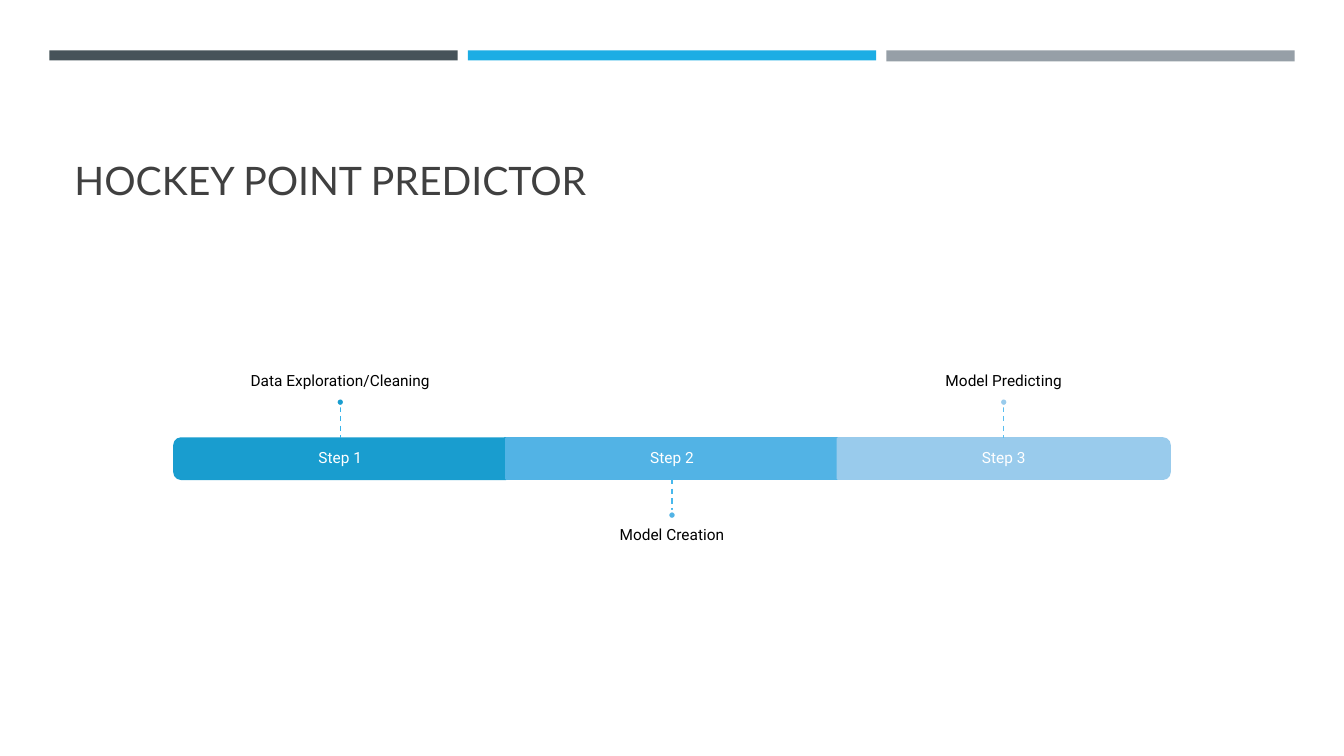
import pptx
import pptx.dml.color
import pptx.enum.dml
import pptx.enum.shapes
import pptx.enum.text
import pptx.oxml.ns
import pptx.util
from lxml import etree

TITLE = "HOCKEY POINT PREDICTOR"
BANDS = [("465359", 0.1), ("1CADE4", 0.1), ("969FA7", 0.11)]
STEPS = [
    {"step": "Step 1", "label": "Data Exploration/Cleaning", "fill": "199DCF",
     "stem": "36B3E9", "above": True, "turn": 270},
    {"step": "Step 2", "label": "Model Creation", "fill": "52B3E5",
     "stem": "48B8EC", "above": False, "turn": 0},
    {"step": "Step 3", "label": "Model Predicting", "fill": "99CBEC",
     "stem": "5ABEEF", "above": True, "turn": 90},
]

W, H = 13.33, 7.5
BAND_LEFT, BAND_TOP, BAND_W, BAND_PITCH = 0.49, 0.5, 4.05, 4.15
STEP_W, BAR_H, BAR_TOP = 3.29, 0.4, 4.35
BAR_LEFT = (W - len(STEPS) * STEP_W) / 2
LABEL_W, LABEL_H = 5.48, 1.39
STEM, DOT, PAD = 0.32, 0.08, 0.09

SHAPE = pptx.enum.shapes.MSO_SHAPE
ANCHOR = pptx.enum.text.MSO_ANCHOR
ALIGN = pptx.enum.text.PP_ALIGN
inch = pptx.util.Inches


def color(value):
    """Turn a hex string into a colour."""
    return pptx.dml.color.RGBColor.from_string(value)


def add_block(s, kind, x, y, w, h, fill, line=None, turn=0):
    """Add a filled shape, with an optional outline and rotation."""
    sp = s.shapes.add_shape(kind, inch(x), inch(y), inch(w), inch(h))
    sp.shadow.inherit = False
    sp.rotation = turn
    sp.fill.solid()
    sp.fill.fore_color.rgb = color(fill)
    if line:
        sp.line.color.rgb = color(line)
        sp.line.width = pptx.util.Pt(1.75)
    else:
        sp.line.fill.background()


def add_text(s, text, x, y, w, h, size=11, font="Roboto", fill="000000",
             align=ALIGN.CENTER, anchor=ANCHOR.MIDDLE, spacing=0.9,
             inset=(0, PAD, 0, PAD)):
    """Add a wrapped text box with one formatted paragraph."""
    sp = s.shapes.add_textbox(inch(x), inch(y), inch(w), inch(h))
    tf = sp.text_frame
    tf.word_wrap = True
    tf.vertical_anchor = anchor
    tf.margin_left, tf.margin_top, tf.margin_right, tf.margin_bottom = map(inch, inset)
    p = tf.paragraphs[0]
    p.alignment = align
    p.line_spacing = spacing
    r = p.add_run()
    r.text = text
    r.font.size = pptx.util.Pt(size)
    r.font.name = font
    r.font.color.rgb = color(fill)


def add_stem(s, x, top, bottom, line):
    """Add a dashed vertical line."""
    c = s.shapes.add_connector(pptx.enum.shapes.MSO_CONNECTOR.STRAIGHT,
                               inch(x), inch(top), inch(x), inch(bottom))
    c.line.color.rgb = color(line)
    c.line.width = pptx.util.Pt(1)
    c.line.dash_style = pptx.enum.dml.MSO_LINE.DASH
    etree.SubElement(c._element.spPr, pptx.oxml.ns.qn("a:effectLst"))


def add_step(s, i, step):
    """Add one bar segment with its stem, dot and label."""
    x = BAR_LEFT + i * STEP_W
    mid = x + STEP_W / 2
    if step["turn"]:
        add_block(s, SHAPE.ROUND_2_SAME_RECTANGLE, mid - BAR_H / 2,
                  BAR_TOP + (BAR_H - STEP_W) / 2, BAR_H, STEP_W,
                  step["fill"], step["fill"], step["turn"])
    else:
        add_block(s, SHAPE.RECTANGLE, x, BAR_TOP, STEP_W, BAR_H,
                  step["fill"], step["fill"])
    add_text(s, step["step"], x, BAR_TOP, STEP_W, BAR_H, fill="FFFFFF", inset=[PAD] * 4)

    if step["above"]:
        stem_top = BAR_TOP - STEM
        dot_top = stem_top - DOT
        label_top, anchor = dot_top - LABEL_H, ANCHOR.BOTTOM
    else:
        stem_top = BAR_TOP + BAR_H
        dot_top = stem_top + STEM
        label_top, anchor = dot_top + DOT, ANCHOR.TOP
    add_text(s, step["label"], mid - LABEL_W / 2, label_top, LABEL_W, LABEL_H,
             anchor=anchor)
    add_stem(s, mid, stem_top, stem_top + STEM, step["stem"])
    add_block(s, SHAPE.OVAL, mid - DOT / 2, dot_top, DOT, DOT, step["fill"], "FFFFFF")


def main():
    """Build the slide and save it."""
    prs = pptx.Presentation()
    prs.slide_width, prs.slide_height = inch(W), inch(H)
    s = prs.slides.add_slide(prs.slide_layouts[6])
    for i, (fill, height) in enumerate(BANDS):
        add_block(s, SHAPE.RECTANGLE, BAND_LEFT + i * BAND_PITCH, BAND_TOP,
                  BAND_W, height, fill)
    add_text(s, TITLE, 0.64, 0.77, 12.06, 1.3, size=28, font="Lato", fill="404040",
             align=ALIGN.LEFT, anchor=ANCHOR.BOTTOM, spacing=1.0,
             inset=(0.1, 0.05, 0.1, 0.05))
    for i, step in enumerate(STEPS):
        add_step(s, i, step)
    prs.save("out.pptx")


if __name__ == "__main__":
    main()
